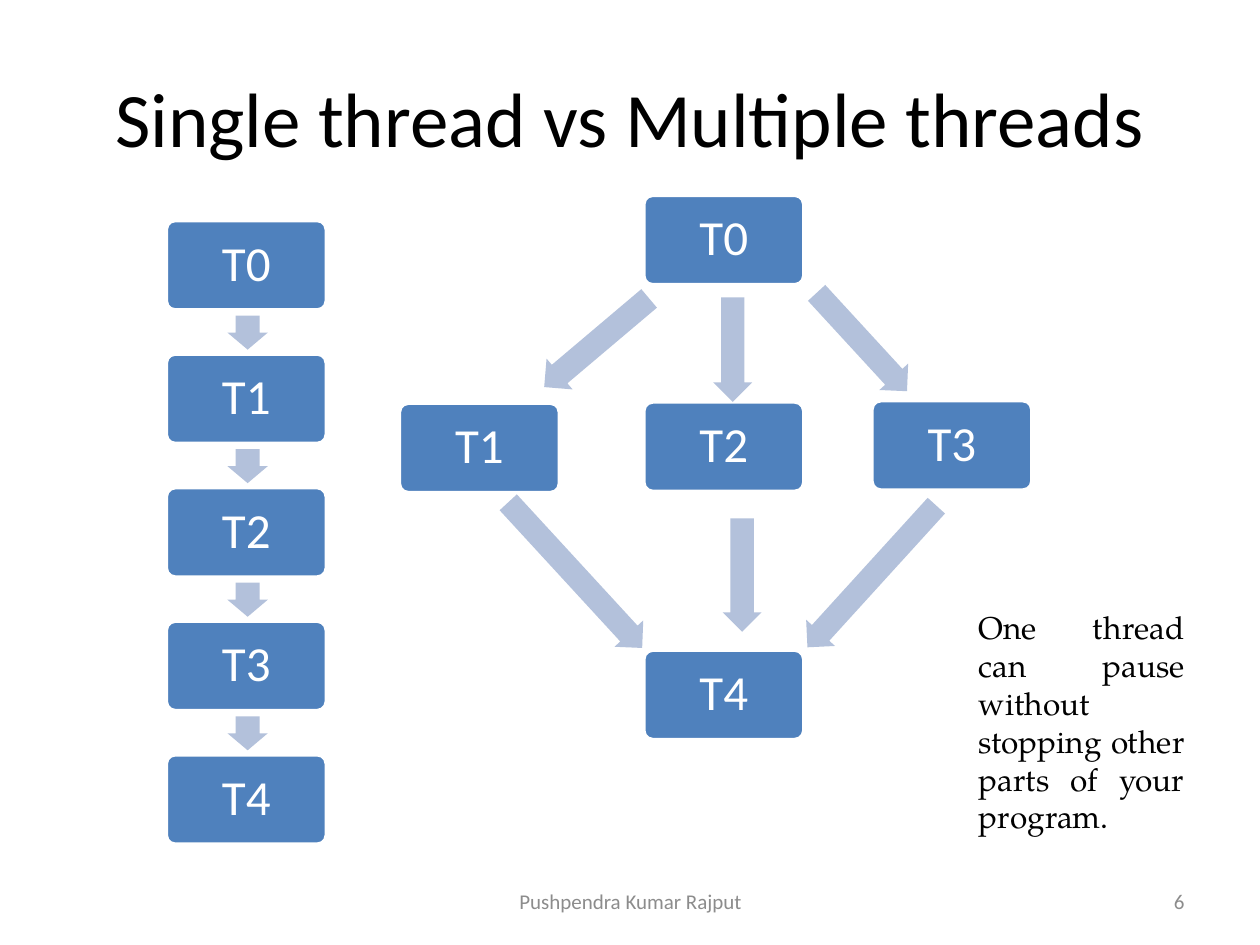
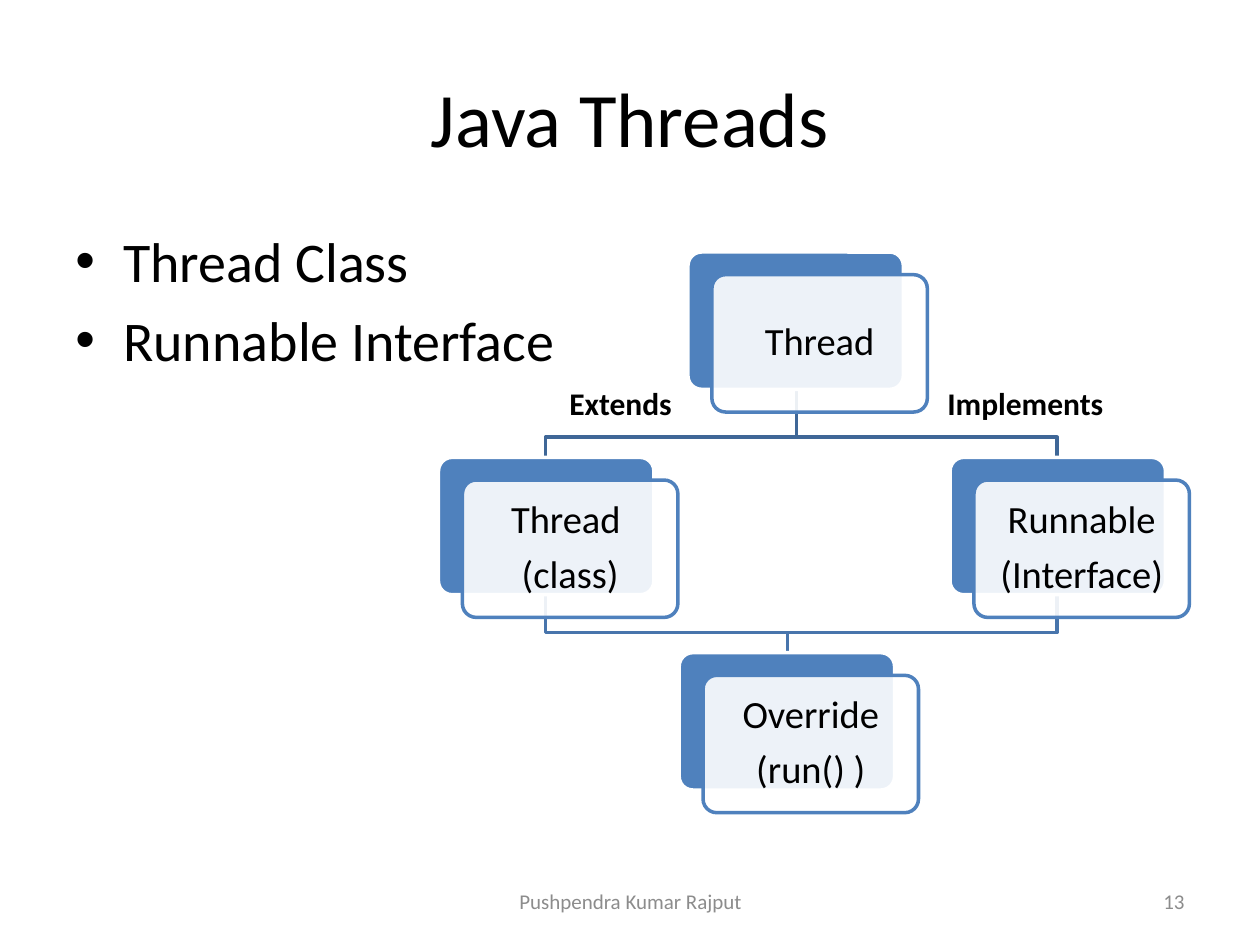
from dataclasses import dataclass

from lxml.etree import SubElement
from pptx import Presentation
from pptx.dml.color import RGBColor
from pptx.enum.shapes import MSO_SHAPE
from pptx.enum.text import MSO_ANCHOR, PP_ALIGN
from pptx.oxml.ns import qn
from pptx.util import Inches, Pt


@dataclass(frozen=True)
class Theme:
    font: str = "Calibri"
    note_font: str = "TeX Gyre Pagella"
    text: str = "000000"
    white: str = "FFFFFF"
    muted: str = "8C8C8C"
    accent: str = "4F81BD"
    arrow: str = "B3C1DB"
    upper_link: str = "3F6797"
    lower_link: str = "4875AC"
    title_size: int = 44
    body_size: int = 32
    node_size: int = 28
    card_size: int = 22
    label_size: int = 18
    footer_size: int = 12
    line_width: int = 2


class Deck:
    def __init__(self, theme):
        self.theme = theme
        self.prs = Presentation()
        self.prs.slide_width, self.prs.slide_height = Inches(10), Inches(7.5)
        self.slide = None

    def new_slide(self, title, number):
        """Start a slide with its title, footer and number."""
        t = self.theme
        self.slide = self.prs.slides.add_slide(self.prs.slide_layouts[5])
        heading = self.slide.shapes.title
        heading.left, heading.top = Inches(0.5), Inches(0.3)
        heading.width, heading.height = Inches(9), Inches(1.25)
        self.set_text(heading, [title], t.title_size, align=PP_ALIGN.CENTER,
                      anchor=MSO_ANCHOR.MIDDLE)
        for text, left, width, align in (
            ("Pushpendra Kumar Rajput", 3.42, 3.17, PP_ALIGN.CENTER),
            (str(number), 7.17, 2.33, PP_ALIGN.RIGHT),
        ):
            self.text((left, 6.95, width, 0.4), [text], t.footer_size, color=t.muted,
                      align=align, anchor=MSO_ANCHOR.MIDDLE)

    def set_text(self, shape, lines, size, color=None, font=None, bold=False,
                 align=PP_ALIGN.LEFT, anchor=MSO_ANCHOR.TOP, bullet=False,
                 before=0, after=0, spacing=None):
        frame = shape.text_frame
        frame.word_wrap = True
        frame.vertical_anchor = anchor
        for i, line in enumerate(lines):
            paragraph = frame.add_paragraph() if i else frame.paragraphs[0]
            paragraph.alignment = align
            paragraph.space_before = Pt(before if i else 0)
            paragraph.space_after = Pt(after)
            if spacing:
                paragraph.line_spacing = spacing
            if bullet:
                self.add_bullet(paragraph)
            run = paragraph.add_run()
            run.text = line
            run.font.name = font or self.theme.font
            run.font.size = Pt(size)
            run.font.bold = bold
            run.font.color.rgb = RGBColor.from_string(color or self.theme.text)

    def add_bullet(self, paragraph):
        props = paragraph._p.get_or_add_pPr()
        props.set("marL", str(Inches(0.38)))
        props.set("indent", str(-Inches(0.38)))
        SubElement(props, qn("a:buFont")).set("typeface", "Arial")
        SubElement(props, qn("a:buChar")).set("char", "•")

    def text(self, box, lines, size, **style):
        shape = self.slide.shapes.add_textbox(*map(Inches, box))
        self.set_text(shape, lines, size, **style)

    def shape(self, kind, box, adjustments, fill, line=None, opacity=None):
        shape = self.slide.shapes.add_shape(kind, *map(Inches, box))
        shape.shadow.inherit = False
        for i, value in enumerate(adjustments):
            shape.adjustments[i] = value
        shape.fill.solid()
        shape.fill.fore_color.rgb = RGBColor.from_string(fill)
        if opacity:
            color = shape.element.spPr.find(qn("a:solidFill"))[0]
            SubElement(color, qn("a:alpha")).set("val", str(opacity * 1000))
        if line:
            shape.line.color.rgb = RGBColor.from_string(line)
            shape.line.width = Pt(self.theme.line_width)
        else:
            shape.line.fill.background()
        return shape

    def rounded(self, box, fill, line, opacity=None):
        return self.shape(MSO_SHAPE.ROUNDED_RECTANGLE, box, [0.1], fill, line, opacity)

    def centred(self, shape, lines, size, color, inset):
        frame = shape.text_frame
        frame.margin_left = frame.margin_right = Inches(inset)
        frame.margin_top = frame.margin_bottom = Inches(inset)
        self.set_text(shape, lines, size, color=color, align=PP_ALIGN.CENTER,
                      anchor=MSO_ANCHOR.MIDDLE, after=0.35 * size, spacing=0.9)

    def node(self, name, left, top):
        t = self.theme
        node = self.rounded((left, top, 1.27, 0.71), t.accent, t.white)
        self.centred(node, [name], t.node_size, t.white, 0.12)

    def arrow(self, left, top, length, thickness, angle=90):
        arrow = self.shape(MSO_SHAPE.RIGHT_ARROW, (left, top, length, thickness),
                           [0.6, 0.5], self.theme.arrow)
        arrow.rotation = angle

    def card(self, lines, left, top):
        """A solid card with a translucent, offset card carrying the text."""
        t = self.theme
        self.rounded((left, top, 1.71, 1.09), t.accent, t.white)
        front = self.rounded((left + 0.19, top + 0.18, 1.71, 1.09), t.white, t.accent, 90)
        self.centred(front, lines, t.card_size, t.text, 0.09)

    def elbow(self, start, end, color):
        """An open bent line whose crossbar lies just above its end."""
        (x1, y1), (x2, y2) = start, end
        bend = y2 - 0.16
        outline = self.slide.shapes.build_freeform(Inches(x1), Inches(y1))
        points = [(x1, bend), (x2, bend), end]
        outline.add_line_segments([(Inches(x), Inches(y)) for x, y in points], close=False)
        link = outline.convert_to_shape()
        link.shadow.inherit = False
        link.fill.background()
        link.line.color.rgb = RGBColor.from_string(color)
        link.line.width = Pt(self.theme.line_width)


def thread_comparison(deck):
    deck.new_slide("Single thread vs Multiple threads", 6)

    # Single thread: one column of steps
    step = 1.06
    for i in range(5):
        deck.node(f"T{i}", 1.32, 1.75 + i * step)
        if i < 4:
            deck.arrow(1.83, 2.48 + i * step, 0.27, 0.32)

    # Multiple threads: fork and join
    for name, left, top in (("T0", 5.11, 1.55), ("T1", 3.17, 3.2), ("T2", 5.11, 3.19),
                            ("T3", 6.92, 3.18), ("T4", 5.11, 5.16)):
        deck.node(name, left, top)
    fork = ((4.19, 2.56, 1.09, 0.32, 139.8), (5.4, 2.62, 0.83, 0.31, 90),
            (6.31, 2.56, 1.06, 0.31, 47.4))
    join = ((3.78, 4.41, 1.57, 0.31, 47.4), (5.44, 4.41, 0.9, 0.31, 90),
            (6.16, 4.42, 1.52, 0.31, 132.3))
    for placement in fork + join:
        deck.arrow(*placement)

    # Remark
    deck.text((7.67, 4.78, 1.83, 1.92),
              ["One thread can pause without stopping other parts of your program."],
              deck.theme.label_size, font=deck.theme.note_font, align=PP_ALIGN.JUSTIFY)


def java_threads(deck):
    t = deck.theme
    deck.new_slide("Java Threads", 13)
    deck.text((0.5, 1.75, 9, 4.95), ["Thread Class", "Runnable Interface"], t.body_size,
              bullet=True, before=0.2 * t.body_size)

    # Links from Thread to both branches, and on to Override
    for branch in (4.33, 8.39):
        deck.elbow((branch, 4.72), (6.25, 5.18), t.lower_link)
        deck.elbow((6.32, 3.09), (branch, 3.63), t.upper_link)

    # Hierarchy cards
    deck.card(["Thread"], 5.46, 2)
    deck.card(["Thread ", "(class)"], 3.48, 3.63)
    deck.card(["Runnable", "(Interface)"], 7.54, 3.63)
    deck.card(["Override", "(run() )"], 5.39, 5.18)

    # Branch labels
    for label, left, width in (("Extends", 4.42, 1.17), ("Implements", 7.42, 1.5)):
        deck.text((left, 3, width, 0.4), [label], t.label_size, bold=True)


def main():
    deck = Deck(Theme())
    thread_comparison(deck)
    java_threads(deck)
    deck.prs.save("out.pptx")


if __name__ == "__main__":
    main()
